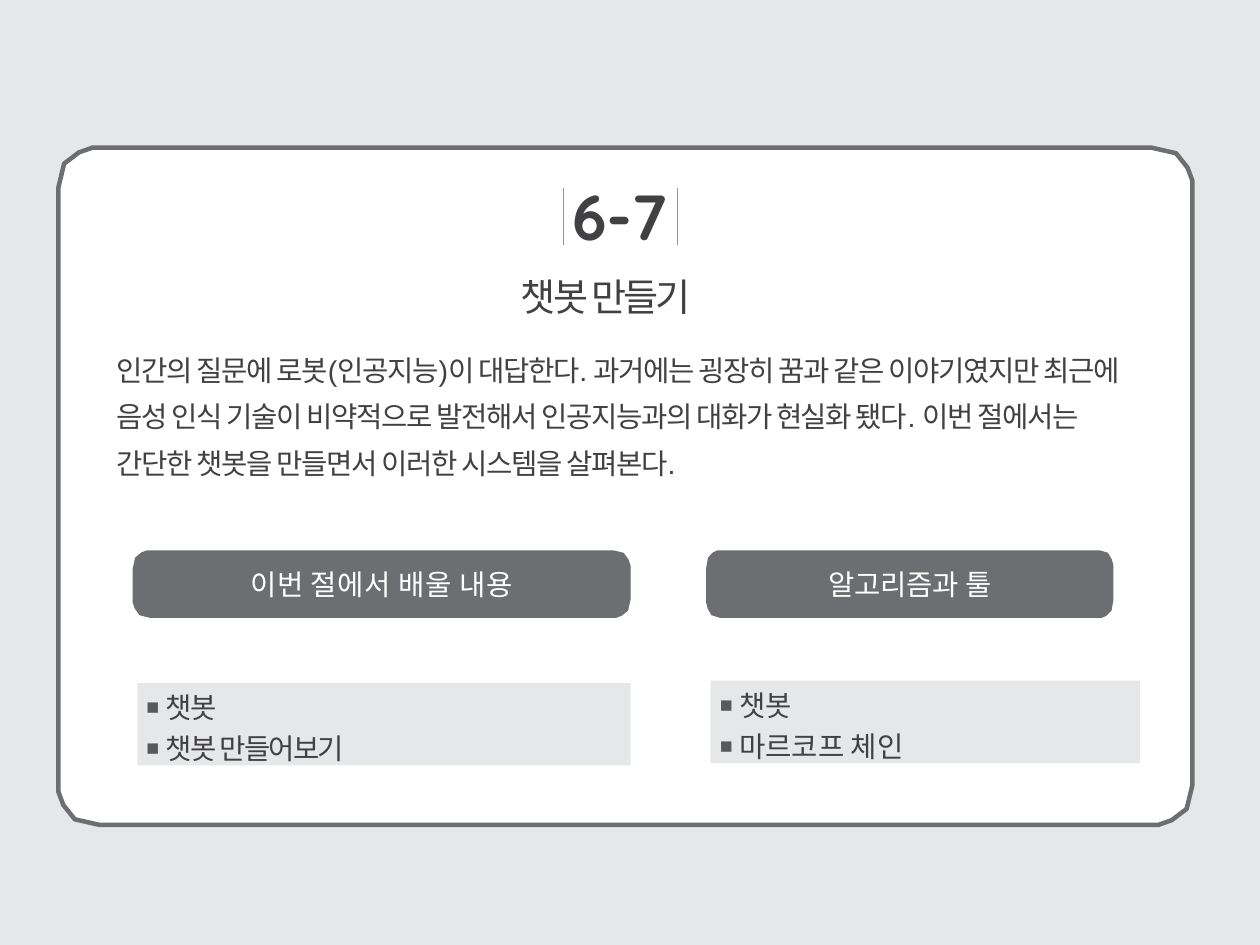
from lxml.etree import SubElement as Sub
from pptx import Presentation
from pptx.dml.color import RGBColor as Rgb
from pptx.enum.shapes import MSO_CONNECTOR as Conn, MSO_SHAPE as Kind
from pptx.enum.text import MSO_ANCHOR as Anchor, MSO_AUTO_SIZE as Auto, PP_ALIGN as Align
from pptx.oxml import parse_xml
from pptx.oxml.ns import nsdecls, qn
from pptx.util import Inches, Pt

GRAY, PALE, DARK, WHITE = "6D6E71", "E6E7E8", "414042", "FFFFFF"
CURVE = [(1, 0), (0.4, 0.14), (0.12, 0.5), (0, 0.83), (0, 1)]
BULLET = [
    '<a:buClr {}><a:srgbClr val="58595B"/></a:buClr>',
    '<a:buSzPct {} val="75000"/>',
    '<a:buFont {} typeface="Arial"/>',
    '<a:buChar {} char="■"/>',
]


def paint(fill, color):
    fill.solid()
    fill.fore_color.rgb = Rgb.from_string(color)


def place(shape, box):
    shape.left, shape.top, shape.width, shape.height = map(Inches, box)


def write(shape, lines, size, color, gap, face="Arial", bold=False,
          align=Align.LEFT, anchor=Anchor.TOP, top=0):
    frame = shape.text_frame
    frame.word_wrap = True
    frame.auto_size = Auto.NONE
    frame.vertical_anchor = anchor
    frame.margin_left = frame.margin_right = frame.margin_bottom = 0
    frame.margin_top = Inches(top)
    frame.text = "\n".join(lines)
    for para in frame.paragraphs:
        para.alignment = align
        font = para.font
        font.name, font.size, font.bold = face, Pt(size), bold
        paint(font.fill, color)
        font._element.set("spc", str(round(gap * 100)))
    return frame.paragraphs


def label(slide, box, *args, **style):
    shape = slide.shapes.add_textbox(*map(Inches, box))
    return write(shape, *args, **style)


def panel(slide, box, rx, ry, fill, line=None):
    x, y, w, h = box
    points = [(x + b * rx, y + a * ry) for a, b in CURVE]
    points += [(x + w - a * rx, y + b * ry) for a, b in CURVE]
    points += [(x + w - b * rx, y + h - a * ry) for a, b in CURVE]
    points += [(x + a * rx, y + h - b * ry) for a, b in CURVE]
    points = [(Inches(px), Inches(py)) for px, py in points]
    form = slide.shapes.build_freeform(*points[0])
    form.add_line_segments(points[1:], close=True)
    shape = form.convert_to_shape()
    shape.shadow.inherit = False
    paint(shape.fill, fill)
    if line:
        paint(shape.line.fill, line)
        shape.line.width = Pt(2.83)
    else:
        shape.line.fill.background()
    return shape


def rule(slide, x):
    line = slide.shapes.add_connector(
        Conn.STRAIGHT, Inches(x), Inches(1.64), Inches(x), Inches(2.14))
    paint(line.line.fill, "939598")
    line.line.width = Pt(0.5)
    Sub(line.element.spPr, qn("a:effectLst"))


def listing(slide, box, items, gap):
    shape = slide.shapes.add_shape(Kind.RECTANGLE, *map(Inches, box))
    shape.shadow.inherit = False
    paint(shape.fill, PALE)
    shape.line.fill.background()
    paras = write(shape, items, 18, DARK, gap, anchor=Anchor.MIDDLE, top=0.06)
    for para in paras:
        para.space_before = Pt(4)
        props = para._p.get_or_add_pPr()
        props.set("marL", str(Inches(0.25)))
        props.set("indent", str(Inches(-0.17)))
        last = props.find(qn("a:defRPr"))
        for xml in BULLET:
            last.addprevious(parse_xml(xml.format(nsdecls("a"))))


def topic(slide, x, width, radius, head, wide, box, items, gap):
    pill = panel(slide, (x, 4.81, width, 0.59), radius, 0.16, GRAY)
    write(pill, [head], 18, WHITE, wide, face="DejaVu Sans Mono",
          align=Align.CENTER, anchor=Anchor.MIDDLE)
    listing(slide, box, items, gap)


def main():
    deck = Presentation()
    deck.slide_width, deck.slide_height = Inches(11.01), Inches(8.26)
    slide = deck.slides.add_slide(deck.slide_layouts[5])
    paint(slide.background.fill, PALE)

    panel(slide, (0.51, 1.29, 9.91, 5.92), 0.36, 0.35, WHITE, GRAY)
    for x in (4.92, 5.92):
        rule(slide, x)
    label(slide, (5, 1.55, 1.04, 0.67), ["6-7"], 40, DARK, -0.2,
          face="Quicksand", bold=True)

    title = slide.shapes.title
    title.element.getparent().append(title.element)
    place(title, (4.55, 2.39, 1.8, 0.4))
    write(title, ["챗봇 만들기"], 24, DARK, -1.75)

    intro = (
        "인간의 질문에 로봇(인공지능)이 대답한다. 과거에는 굉장히 꿈과 같은 이야기였지만 "
        "최근에 음성 인식 기술이 비약적으로 발전해서 인공지능과의 대화가 현실화 됐다. "
        "이번 절에서는 간단한 챗봇을 만들면서 이러한 시스템을 살펴본다."
    )
    body = label(slide, (1.02, 2.98, 8.9, 1.23), [intro], 18, DARK, -0.85)
    body[0].line_spacing = 1.35

    topic(slide, 1.16, 4.35, 0.15, "이번 절에서 배울 내용", 0.4,
          (1.2, 5.97, 4.31, 0.72), ["챗봇", "챗봇 만들어보기"], -1.1)
    topic(slide, 6.17, 3.56, 0.12, "알고리즘과 툴", -0.1,
          (6.21, 5.95, 3.75, 0.72), ["챗봇", "마르코프 체인"], 0)
    deck.save("out.pptx")


if __name__ == "__main__":
    main()
